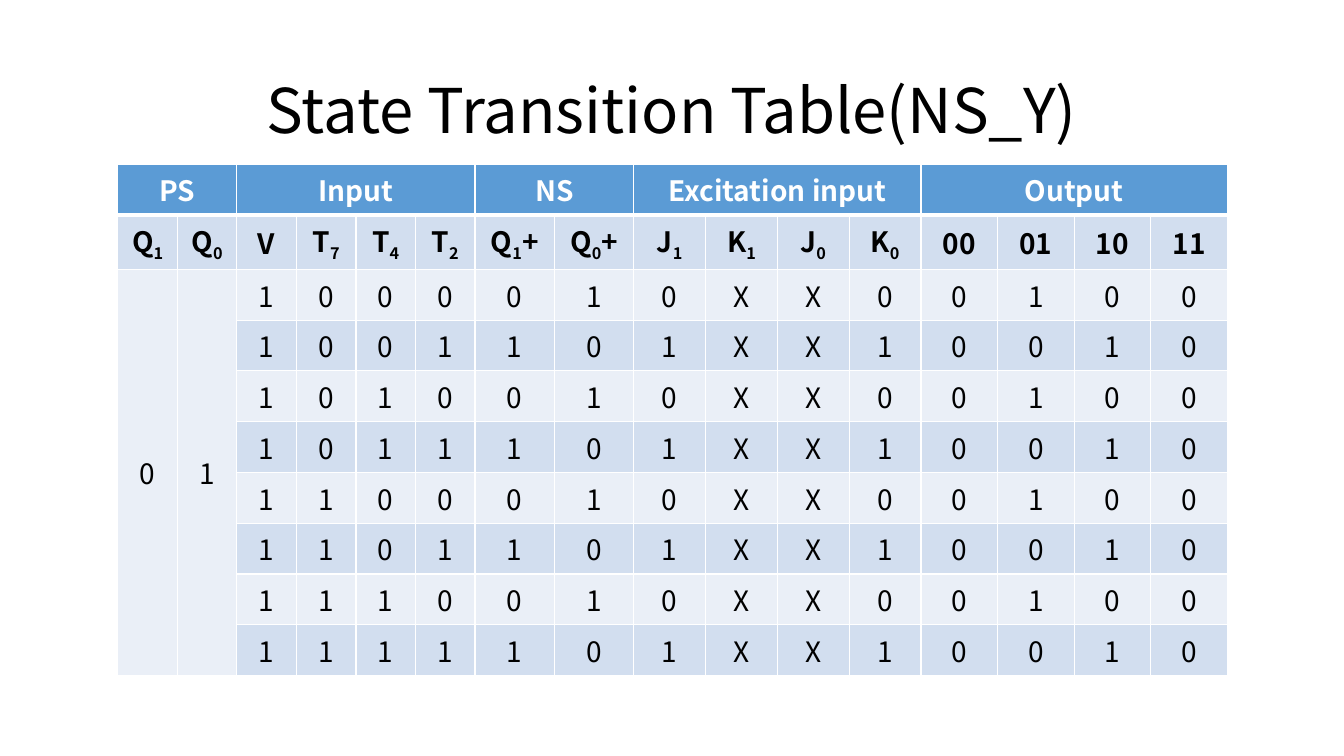
from itertools import product

from lxml import etree
from pptx import Presentation
from pptx.dml.color import RGBColor
from pptx.enum import text
from pptx.oxml import ns
from pptx.util import Cm, Pt

FONT = "Noto Sans CJK KR"
COLORS = {
    "header": "5B9BD5",
    "dark_band": "D2DEEF",
    "light_band": "EAEFF7",
    "border": "FFFFFF",
    "header_text": "FFFFFF",
    "text": "000000",
}
GROUPS = [("PS", 2), ("Input", 4), ("NS", 2), ("Excitation input", 4), ("Output", 4)]
SIGNALS = ["Q1", "Q0", "V", "T7", "T4", "T2", "Q1+", "Q0+",
           "J1", "K1", "J0", "K0", "00", "01", "10", "11"]
COLUMN_WIDTHS = [1.5] * 6 + [2] * 2 + [1.81] * 4 + [1.93] * 4
ROW_HEIGHT = 1.24


def state_rows():
    rows = []
    for t7, t4, t2 in product((0, 1), repeat=3):
        hold = 1 - t2
        present = ["", ""] if rows else [0, 1]
        rows.append(present + [1, t7, t4, t2, t2, hold, t2, "X", "X", t2, 0, hold, t2, 0])
    return rows


def style_font(font, size, color, bold=False):
    font.name = FONT
    font.size = Pt(size)
    font.bold = bold
    font.color.rgb = RGBColor.from_string(COLORS[color])


def set_borders(cell, row):
    properties = cell._tc.get_or_add_tcPr()
    thick_side = {0: "B", 1: "T"}.get(row)
    for side in "LRTB":
        line = etree.SubElement(properties, ns.qn(f"a:ln{side}"))
        line.set("w", str(Pt(3 if side == thick_side else 1)))
        fill = etree.SubElement(line, ns.qn("a:solidFill"))
        etree.SubElement(fill, ns.qn("a:srgbClr")).set("val", COLORS["border"])


def write_cell(cell, label, row):
    para = cell.text_frame.paragraphs[0]
    para.alignment = text.PP_ALIGN.CENTER
    cell.vertical_anchor = text.MSO_ANCHOR.MIDDLE
    is_signal = row == 1 and label[0].isalpha()
    for part in label if is_signal else [label]:
        span = para.add_run()
        span.text = part
        style_font(span.font, 20, "text" if row else "header_text", bold=row < 2)
        if is_signal and part.isdigit():
            span._r.get_or_add_rPr().set("baseline", "-25000")


def add_title(page, left, top, width, height):
    box = page.shapes.title
    box.left, box.top, box.width, box.height = Cm(left), Cm(top), Cm(width), Cm(height)
    box.text_frame.text = "State Transition Table(NS_Y)"
    box.text_frame.vertical_anchor = text.MSO_ANCHOR.MIDDLE
    para = box.text_frame.paragraphs[0]
    para.alignment = text.PP_ALIGN.CENTER
    para.line_spacing = 0.9
    style_font(para.runs[0].font, 44, "text")


def add_state_table(page, left, top):
    group_row = []
    for name, count in GROUPS:
        group_row += [name] + [""] * (count - 1)
    rows = [group_row, SIGNALS] + state_rows()
    frame = page.shapes.add_table(len(rows), len(SIGNALS), Cm(left), Cm(top),
                                  Cm(sum(COLUMN_WIDTHS)), Cm(ROW_HEIGHT * len(rows)))
    table = frame.table
    for column, width in zip(table.columns, COLUMN_WIDTHS):
        column.width = Cm(width)
    for row, values in enumerate(rows):
        table.rows[row].height = Cm(ROW_HEIGHT)
        band = "header" if row == 0 else "dark_band" if row % 2 else "light_band"
        for column, value in enumerate(values):
            cell = table.cell(row, column)
            set_borders(cell, row)
            cell.fill.solid()
            cell.fill.fore_color.rgb = RGBColor.from_string(COLORS[band])
            if value != "":
                write_cell(cell, str(value), row)
    start = 0
    for name, count in GROUPS:
        table.cell(0, start).merge(table.cell(0, start + count - 1))
        start += count
    for column in range(2):
        table.cell(2, column).merge(table.cell(len(rows) - 1, column))


def main():
    deck = Presentation()
    deck.slide_width, deck.slide_height = Cm(33.87), Cm(19.05)
    page = deck.slides.add_slide(deck.slide_layouts.get_by_name("Title Only"))
    add_title(page, 2.33, 1.01, 29.21, 3.68)
    add_state_table(page, 2.97, 4.14)
    deck.save("out.pptx")


if __name__ == "__main__":
    main()
